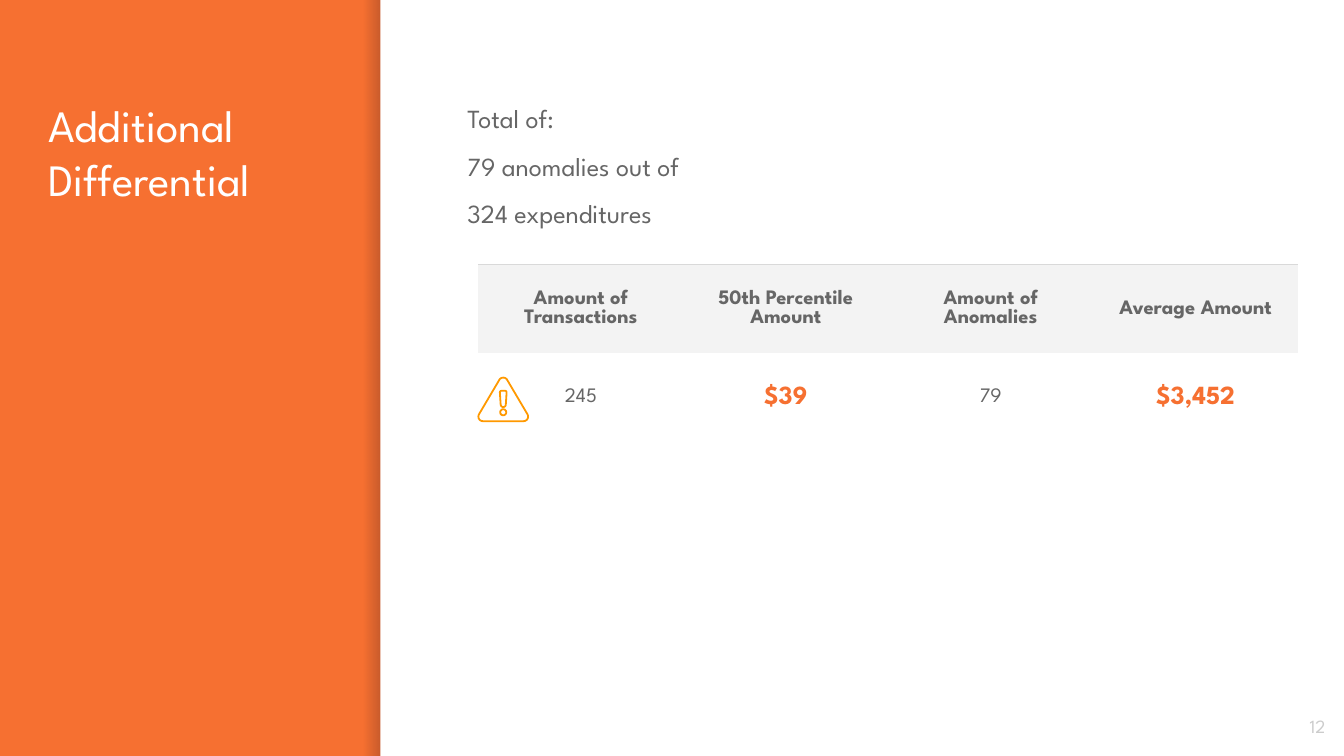
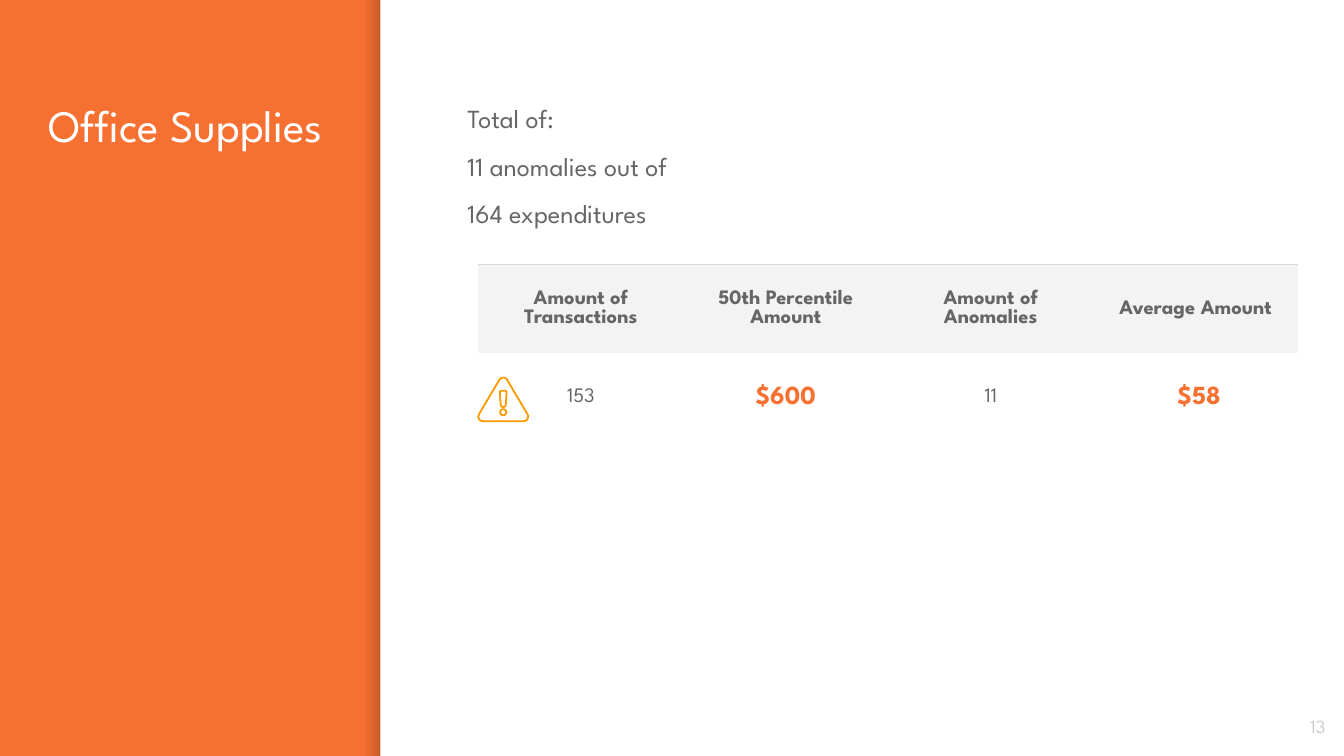
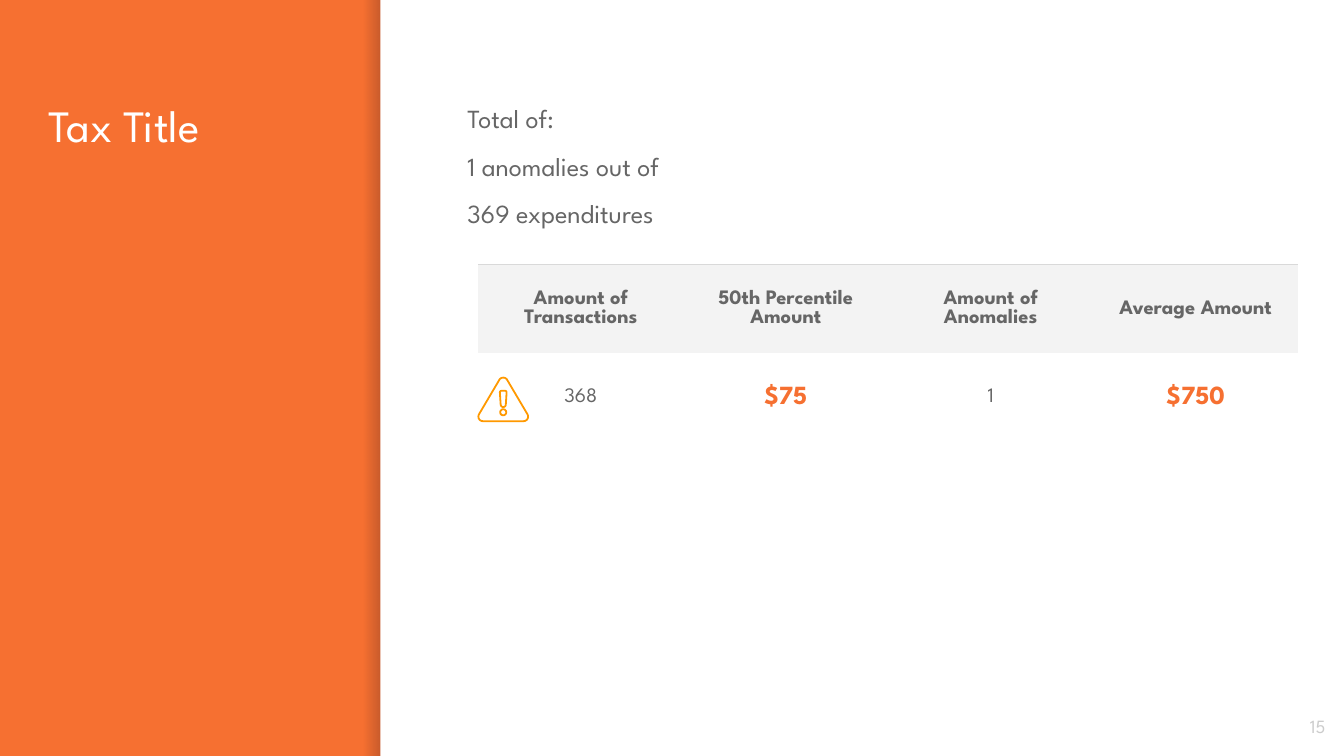
import math

import pptx
import pptx.dml.color
import pptx.enum.text
import pptx.oxml
import pptx.oxml.ns
import pptx.util
from pptx.enum.shapes import MSO_SHAPE

# Shared look
FONT = "League Spartan"
ORANGE, WHITE, GRAY = "F67031", "FFFFFF", "666666"
SHADE, HEADER_FILL, RULE = "000014", "F3F3F3", "D9D9D9"
NUMBER_GRAY, WARNING = "CCCCCC", "FF9900"

# Grid: 100 columns by 56.25 rows, every cell a tenth of an inch
COLUMNS, ROWS = 100, 56.25
PANEL_LEFT, SHADE_WIDTH = 28.3, 1.25
TEXT_TOP, TABLE_LEFT = 6.3, 35.6

HEADINGS = ["Amount of Transactions", "50th Percentile Amount",
            "Amount of Anomalies", "Average Amount"]

# Title, title width, anomalies, expenditures, table values, page number
REPORTS = [
    ("Additional Differential", 25.3, "79", "324",
     ["245", "$39", "79", "$3,452"], "12"),
    ("Office Supplies", 22.4, "11", "164",
     ["153", "$600", "11", " $58"], "13"),
    ("Tax Title", 25.3, "1", "369",
     ["368", "$75", "1", "$750"], "15"),
]

# Warning icon in hundredths of an inch; each outline is a list of
# arcs: centre x, centre y, radius, first angle, last angle
ICON_OUTLINES = [
    [(18.5, 3.4, 3.4, 210, 330), (33.6, 29, 3.4, -30, 90),
     (3.4, 29, 3.4, 90, 210)],
    [(18.5, 25.8, 2.3, 0, 360)],
    [(17.2, 11, 1.2, 175, 270), (19.8, 11, 1.2, 270, 365),
     (18.5, 20, 1.9, 5, 175)],
]
ARC_STEPS = 12


def color(code):
    return pptx.dml.color.RGBColor.from_string(code)


def grid(cells):
    return pptx.util.Inches(cells / 10)


def add_span(para, text, size, code, bold=False):
    span = para.add_run()
    span.text = text
    span.font.name = FONT
    span.font.size = pptx.util.Pt(size)
    span.font.color.rgb = color(code)
    span.font.bold = bold


def add_text(page, place, lines, size, code, align="LEFT", anchor="TOP",
             spacing=None, gap=0):
    box = page.shapes.add_textbox(*map(grid, place))
    frame = box.text_frame
    frame.word_wrap = True
    frame.vertical_anchor = pptx.enum.text.MSO_ANCHOR[anchor]
    frame.margin_left = frame.margin_right = grid(1)
    frame.margin_top = frame.margin_bottom = grid(1)
    for index, line in enumerate(lines):
        para = frame.add_paragraph() if index else frame.paragraphs[0]
        para.alignment = pptx.enum.text.PP_ALIGN[align]
        if spacing:
            para.line_spacing = spacing
        if index and gap:
            para.space_before = pptx.util.Pt(gap)
        add_span(para, line, size, code)


def add_block(page, place):
    block = page.shapes.add_shape(MSO_SHAPE.RECTANGLE, *map(grid, place))
    block.shadow.inherit = False
    block.line.fill.background()
    return block


def add_panels(page):
    """Orange background, white panel and the shade along its edge."""
    page.background.fill.solid()
    page.background.fill.fore_color.rgb = color(ORANGE)

    shade = add_block(page, (PANEL_LEFT - SHADE_WIDTH, 0, SHADE_WIDTH, ROWS))
    shade.fill.gradient()
    shade.fill.gradient_angle = 0
    for stop in shade.fill.gradient_stops:
        stop.color.rgb = color(SHADE)
    tints = shade.element.spPr.iter(pptx.oxml.ns.qn("a:srgbClr"))
    for tint, opacity in zip(tints, (0, 20)):
        alpha = pptx.oxml.parse_xml(
            f'<a:alpha {pptx.oxml.ns.nsdecls("a")} val="{opacity * 1000}"/>')
        tint.append(alpha)

    panel = add_block(page, (PANEL_LEFT, 0, COLUMNS - PANEL_LEFT, ROWS))
    panel.fill.solid()
    panel.fill.fore_color.rgb = color(WHITE)


def set_borders(cell, top_rule):
    properties = cell._tc.get_or_add_tcPr()
    for side in "LRTB":
        if side == "T" and top_rule:
            paint = f'<a:solidFill><a:srgbClr val="{RULE}"/></a:solidFill>'
        else:
            paint = "<a:noFill/>"
        properties.append(pptx.oxml.parse_xml(
            f'<a:ln{side} {pptx.oxml.ns.nsdecls("a")} w="9525">{paint}'
            f'</a:ln{side}>'))


def add_summary_table(page, values):
    rows = [HEADINGS, values]
    table = page.shapes.add_table(
        len(rows), len(HEADINGS),
        *map(grid, (TABLE_LEFT, 19.7, 61, 13.2))).table
    table.first_row = table.horz_banding = False
    for row, texts in enumerate(rows):
        for column, text in enumerate(texts):
            cell = table.cell(row, column)
            heading = row == 0
            amount = not heading and column % 2 == 1
            set_borders(cell, heading)
            if heading:
                cell.fill.solid()
                cell.fill.fore_color.rgb = color(HEADER_FILL)
            else:
                cell.fill.background()
            cell.vertical_anchor = pptx.enum.text.MSO_ANCHOR.MIDDLE
            cell.margin_left = cell.margin_right = grid(1)
            cell.margin_top = cell.margin_bottom = grid(0.7)
            para = cell.text_frame.paragraphs[0]
            para.alignment = pptx.enum.text.PP_ALIGN.CENTER
            add_span(para, text, 14 if amount else 11,
                     ORANGE if amount else GRAY, heading or amount)


def outline_points(arcs, left, top):
    points = []
    for x, y, radius, first, last in arcs:
        for step in range(ARC_STEPS + 1):
            angle = math.radians(first + (last - first) * step / ARC_STEPS)
            points.append((grid(left + (x + radius * math.cos(angle)) / 10),
                           grid(top + (y + radius * math.sin(angle)) / 10)))
    return points


def add_warning_icon(page, left, top):
    outlines = [outline_points(arcs, left, top) for arcs in ICON_OUTLINES]
    builder = page.shapes.build_freeform(*outlines[0][0])
    for index, points in enumerate(outlines):
        if index:
            builder.move_to(*points[0])
        builder.add_line_segments(points[1:], close=True)
    icon = builder.convert_to_shape()
    icon.shadow.inherit = False
    icon.fill.background()
    icon.line.color.rgb = color(WARNING)
    icon.line.width = pptx.util.Pt(0.96)


def add_report(deck, title, title_width, anomalies, expenditures, values,
               number):
    page = deck.slides.add_slide(deck.slide_layouts[6])
    add_panels(page)
    add_text(page, (2.6, TEXT_TOP, title_width, 43.5), [title], 24, WHITE)
    add_summary_table(page, values)
    add_text(page, (93.6, 51.9, 6, 4.3), [number], 10, NUMBER_GRAY,
             align="RIGHT", anchor="MIDDLE")
    totals = ["Total of:", f"{anomalies} anomalies out of",
              f"{expenditures} expenditures"]
    add_text(page, (33.8, TEXT_TOP, 61.2, 11.6), totals, 14, GRAY,
             spacing=1.15, gap=6)
    add_warning_icon(page, TABLE_LEFT, 28.1)


def main():
    deck = pptx.Presentation()
    deck.slide_width, deck.slide_height = grid(COLUMNS), grid(ROWS)
    for report in REPORTS:
        add_report(deck, *report)
    deck.save("out.pptx")


if __name__ == "__main__":
    main()
